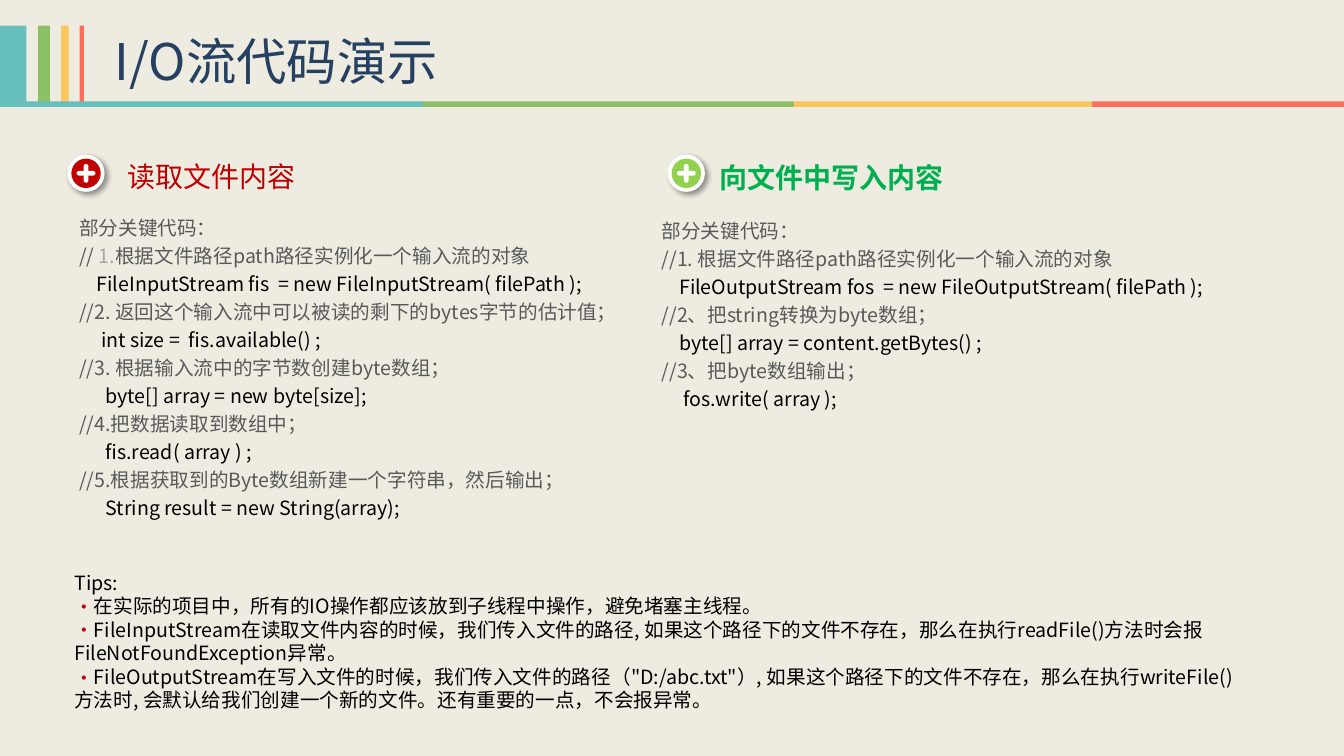
from dataclasses import dataclass
from itertools import pairwise

from lxml import etree
from pptx import Presentation
from pptx import util as u
from pptx.dml.color import RGBColor
from pptx.enum import shapes, text
from pptx.oxml import ns


@dataclass(frozen=True)
class Theme:
    font: str = "Noto Sans CJK SC"
    background: str = "EEECE1"
    title: str = "254061"
    comment: str = "595959"
    faded: str = "A6A6A6"
    code: str = "000000"
    white: str = "FFFFFF"
    red: str = "C00000"
    lime: str = "92D050"
    green: str = "00B050"
    bands: tuple = ("66BFBC", "8CC066", "FBC75D", "FC6E5B")
    title_size: float = 36
    heading_size: float = 20
    body_size: float = 14
    code_spacing: float = 20


class SlideBuilder:
    def __init__(self, slide, theme):
        self.slide = slide
        self.theme = theme
        slide.background.fill.solid()
        slide.background.fill.fore_color.rgb = RGBColor.from_string(theme.background)

    def shape(self, kind, left, top, width, height, color):
        item = self.slide.shapes.add_shape(
            kind, u.Pt(left), u.Pt(top), u.Pt(width), u.Pt(height))
        item.shadow.inherit = False
        item.fill.solid()
        item.fill.fore_color.rgb = RGBColor.from_string(color)
        item.line.fill.background()
        return item

    def bar(self, left, top, width, height, color):
        self.shape(shapes.MSO_SHAPE.RECTANGLE, left, top, width, height, color)

    def cast_shadow(self, item):
        effects = item._element.spPr.find(ns.qn("a:effectLst"))
        shadow = etree.SubElement(
            effects, ns.qn("a:outerShdw"), blurRad=str(u.Pt(4)),
            dist=str(u.Pt(3)), dir="2700000", algn="tl", rotWithShape="0")
        black = etree.SubElement(shadow, ns.qn("a:srgbClr"), val="000000")
        etree.SubElement(black, ns.qn("a:alpha"), val="40000")

    def plus_badge(self, center_x, center_y, color):
        def centered(kind, width, height, fill):
            return self.shape(kind, center_x - width / 2, center_y - height / 2,
                              width, height, fill)

        oval = shapes.MSO_SHAPE.OVAL
        self.cast_shadow(centered(oval, 26.6, 26.6, self.theme.white))
        centered(oval, 21, 21, color)
        for width, height in ((13.4, 3.4), (3.4, 13.4)):
            arm = centered(shapes.MSO_SHAPE.ROUNDED_RECTANGLE, width, height,
                           self.theme.white)
            arm.adjustments[0] = 0.5

    def text_box(self, left, top, width, height):
        frame = self.slide.shapes.add_textbox(
            u.Pt(left), u.Pt(top), u.Pt(width), u.Pt(height)).text_frame
        frame.word_wrap = True
        frame.auto_size = text.MSO_AUTO_SIZE.SHAPE_TO_FIT_TEXT
        return frame

    def style(self, paragraph, size, color=None, bold=False):
        font = paragraph.font
        font.size = u.Pt(size)
        font.bold = bold
        font.name = self.theme.font
        if color:
            font.color.rgb = RGBColor.from_string(color)
        etree.SubElement(font._element, ns.qn("a:ea"), typeface=self.theme.font)

    def paragraphs(self, frame, count):
        return [frame.paragraphs[0]] + [frame.add_paragraph() for _ in range(count - 1)]

    def label(self, left, top, width, height, words, size, color, bold=False):
        line = self.text_box(left, top, width, height).paragraphs[0]
        line.text = words
        self.style(line, size, color, bold)

    def code_listing(self, left, top, width, height, lines):
        frame = self.text_box(left, top, width, height)
        for paragraph, line in zip(self.paragraphs(frame, len(lines)), lines):
            paragraph.line_spacing = u.Pt(self.theme.code_spacing)
            if isinstance(line, str):
                paragraph.text = line
                is_code = line.startswith(" ")
                self.style(paragraph, self.theme.body_size,
                           self.theme.code if is_code else self.theme.comment)
            else:
                self.style(paragraph, self.theme.body_size)
                for words, color in line:
                    run = paragraph.add_run()
                    run.text = words
                    run.font.color.rgb = RGBColor.from_string(color)

    def bullet(self, paragraph):
        props = paragraph._p.get_or_add_pPr()
        props.set("marL", "0")
        props.set("indent", "0")
        tint = etree.SubElement(props, ns.qn("a:buClr"))
        etree.SubElement(tint, ns.qn("a:srgbClr"), val=self.theme.red)
        etree.SubElement(props, ns.qn("a:buFont"), typeface=self.theme.font)
        etree.SubElement(props, ns.qn("a:buChar"), char="•")

    def tips(self, left, top, width, height, heading, items):
        frame = self.text_box(left, top, width, height)
        lines = [heading, *items]
        for paragraph, line in zip(self.paragraphs(frame, len(lines)), lines):
            paragraph.text = line
            if line != heading:
                self.bullet(paragraph)
            self.style(paragraph, self.theme.body_size, self.theme.code)


READ_CODE = [
    "部分关键代码：",
    [("// ", Theme.comment), ("1.", Theme.faded),
     ("根据文件路径path路径实例化一个输入流的对象", Theme.comment)],
    "    FileInputStream fis  = new FileInputStream( filePath );",
    "//2. 返回这个输入流中可以被读的剩下的bytes字节的估计值；",
    "     int size =  fis.available() ;",
    "//3. 根据输入流中的字节数创建byte数组；",
    "      byte[] array = new byte[size];",
    "//4.把数据读取到数组中；",
    "      fis.read( array ) ;",
    "//5.根据获取到的Byte数组新建一个字符串，然后输出；",
    "      String result = new String(array);",
]
WRITE_CODE = [
    "部分关键代码：",
    "//1. 根据文件路径path路径实例化一个输入流的对象",
    "    FileOutputStream fos  = new FileOutputStream( filePath );",
    "//2、把string转换为byte数组；",
    "    byte[] array = content.getBytes() ;",
    "//3、把byte数组输出；",
    "     fos.write( array );",
]
TIPS = [
    "在实际的项目中，所有的IO操作都应该放到子线程中操作，避免堵塞主线程。",
    "FileInputStream在读取文件内容的时候，我们传入文件的路径, 如果这个路径下的文件不存在，"
    "那么在执行readFile()方法时会报FileNotFoundException异常。",
    "FileOutputStream在写入文件的时候，我们传入文件的路径（\"D:/abc.txt\"）, "
    "如果这个路径下的文件不存在，那么在执行writeFile()方法时, "
    "会默认给我们创建一个新的文件。还有重要的一点，不会报异常。",
]


def main():
    deck = Presentation()
    deck.slide_width, deck.slide_height = u.Pt(960.5), u.Pt(540)
    theme = Theme()
    page = SlideBuilder(deck.slides.add_slide(deck.slide_layouts[6]), theme)

    page.label(75, 18, 366, 51, "I/O流代码演示", theme.title_size, theme.title)
    stripes = ((0, 19), (27.2, 8.5), (43.7, 5.3), (57, 3))
    for (left, width), color in zip(stripes, theme.bands):
        page.bar(left, 18.3, width, 54.5, color)
    rule_edges = (0, 302.4, 567.4, 780.5, 960.5)
    for (left, right), color in zip(pairwise(rule_edges), theme.bands):
        page.bar(left, 72.5, right - left, 3.8, color)

    page.plus_badge(61.5, 123.8, theme.red)
    page.label(84, 110.3, 179, 32, "读取文件内容", theme.heading_size, theme.red)
    page.code_listing(49.5, 147.6, 392, 230, READ_CODE)

    page.plus_badge(490.5, 123.8, theme.lime)
    page.label(507, 111, 201, 32, "向文件中写入内容", theme.heading_size,
               theme.green, bold=True)
    page.code_listing(465.8, 149.8, 487, 148, WRITE_CODE)

    page.tips(46, 404, 852, 109, "Tips:", TIPS)
    deck.save("out.pptx")


if __name__ == "__main__":
    main()
